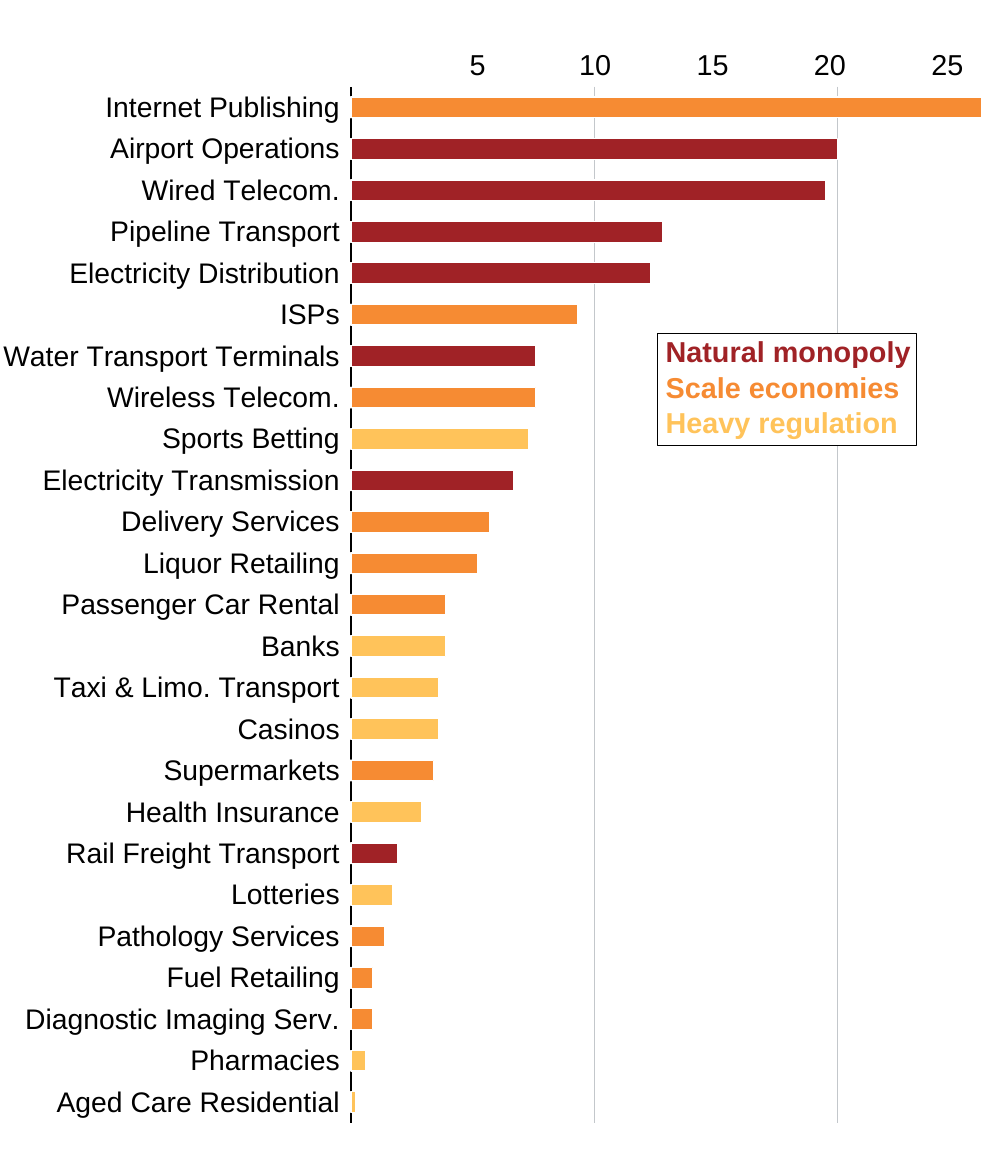
"""Build a one-slide ranked bar chart of industries, coloured by barrier to entry."""
from pptx import Presentation
from pptx.chart.data import CategoryChartData
from pptx.dml.color import RGBColor as RGB
from pptx.enum.chart import XL_CHART_TYPE as CT, XL_TICK_LABEL_POSITION as TLP, XL_TICK_MARK as TM
from pptx.enum.shapes import MSO_SHAPE
from pptx.enum.text import MSO_AUTO_SIZE, PP_ALIGN
from pptx.oxml import parse_xml
from pptx.oxml.ns import nsdecls
from pptx.util import Inches, Pt

BLACK, WHITE, GRID = RGB(0, 0, 0), RGB(255, 255, 255), RGB(0xC3, 0xC7, 0xCB)
RED, ORANGE, YELLOW = RGB(0xA0, 0x22, 0x26), RGB(0xF6, 0x8B, 0x33), RGB(0xFF, 0xC3, 0x5A)
THIN = Pt(0.75)

INDUSTRIES = [
    ("Internet Publishing", ORANGE, 25.9),
    ("Airport Operations", RED, 20),
    ("Wired Telecom.", RED, 19.5),
    ("Pipeline Transport", RED, 12.8),
    ("Electricity Distribution", RED, 12.3),
    ("ISPs", ORANGE, 9.3),
    ("Water Transport Terminals", RED, 7.6),
    ("Wireless Telecom.", ORANGE, 7.6),
    ("Sports Betting", YELLOW, 7.3),
    ("Electricity Transmission", RED, 6.7),
    ("Delivery Services", ORANGE, 5.7),
    ("Liquor Retailing", ORANGE, 5.2),
    ("Passenger Car Rental", ORANGE, 3.9),
    ("Banks", YELLOW, 3.9),
    ("Taxi & Limo. Transport", YELLOW, 3.6),
    ("Casinos", YELLOW, 3.6),
    ("Supermarkets", ORANGE, 3.4),
    ("Health Insurance", YELLOW, 2.9),
    ("Rail Freight Transport", RED, 1.9),
    ("Lotteries", YELLOW, 1.7),
    ("Pathology Services", ORANGE, 1.4),
    ("Fuel Retailing", ORANGE, 0.9),
    ("Diagnostic Imaging Serv.", ORANGE, 0.9),
    ("Pharmacies", YELLOW, 0.6),
    ("Aged Care Residential", YELLOW, 0.2),
]
SERIES_COLORS = [YELLOW, RED, ORANGE]
LEGEND = [("Natural monopoly", RED), ("Scale economies", ORANGE), ("Heavy regulation", YELLOW)]

prs = Presentation()
prs.slide_width, prs.slide_height = Inches(8.72), Inches(10.39)
s = prs.slides.add_slide(prs.slide_layouts[6])


def place(x, y, w, h):
    """Turn percentages of the slide's width and height into lengths."""
    sizes = (prs.slide_width, prs.slide_height) * 2
    return [int(size * share / 100) for size, share in zip(sizes, (x, y, w, h))]


def add_label(text, box, color, bold=False, align=PP_ALIGN.LEFT):
    """Add one line of unwrapped text without margins."""
    tf = s.shapes.add_textbox(*place(*box)).text_frame
    frame = dict(margin_left=0, margin_right=0, margin_top=0, margin_bottom=0,
                 word_wrap=False, auto_size=MSO_AUTO_SIZE.SHAPE_TO_FIT_TEXT)
    for name, value in frame.items():
        setattr(tf, name, value)
    p = tf.paragraphs[0]
    p.alignment = align
    r = p.add_run()
    r.text = text
    for name, value in dict(name="Arial", size=Pt(18.3), bold=bold).items():
        setattr(r.font, name, value)
    r.font.color.rgb = color


data = CategoryChartData()
data.categories = [name for name, _, _ in INDUSTRIES]
for i, color in enumerate(SERIES_COLORS, 1):
    data.add_series(f"Series {i}", [v if c == color else 0 for _, c, v in INDUSTRIES])
chart = s.shapes.add_chart(CT.BAR_STACKED, *place(-0.92, 1.83, 102.75, 95.67), data).chart
cat, val, plot = chart.category_axis, chart.value_axis, chart.plots[0]
formats = [
    (chart, dict(has_legend=False, has_title=False)),
    (chart.font, dict(name="Arial", size=Pt(18))),
    (plot, dict(gap_width=100, overlap=100, vary_by_categories=False)),
    (cat, dict(reverse_order=True, major_tick_mark=TM.NONE, minor_tick_mark=TM.NONE,
               tick_label_position=TLP.LOW, has_major_gridlines=False)),
    (cat.format.line, dict(width=THIN)),
    (val, dict(minimum_scale=0, maximum_scale=26, major_unit=10, has_major_gridlines=True,
               major_tick_mark=TM.OUTSIDE, minor_tick_mark=TM.NONE)),
    (val.tick_labels, dict(number_format="#,##0;\\\u2212#,##0;;", number_format_is_linked=False)),
    (val.major_gridlines.format.line, dict(width=THIN)),
]
for target, values in formats:
    for name, value in values.items():
        setattr(target, name, value)
chart.font.color.rgb = BLACK
cat.format.line.color.rgb = BLACK
val.format.line.fill.background()
val.tick_labels.font.size = Pt(18)
val.tick_labels.font.color.rgb = WHITE
val.major_gridlines.format.line.color.rgb = GRID
for series, color in zip(plot.series, SERIES_COLORS):
    series.invert_if_negative = False
    series.format.fill.solid()
    series.format.fill.fore_color.rgb = color
    series.format.line.color.rgb = WHITE
    series.format.line.width = THIN

area = chart._chartSpace.xpath("c:chart/c:plotArea")[0]
for old in area.xpath("c:layout"):
    area.remove(old)
modes = "".join(f'<c:{tag} val="edge"/>' for tag in ("xMode", "yMode"))
shares = "".join(f'<c:{tag} val="{share / 100}"/>'
                 for tag, share in dict(x=35.5, y=5.8, w=62.4, h=92.1).items())
area.insert(0, parse_xml(f'<c:layout {nsdecls("c")}><c:manualLayout><c:layoutTarget val="inner"/>'
                         f'{modes}{shares}</c:manualLayout></c:layout>'))

sp = s.shapes.add_shape(MSO_SHAPE.RECTANGLE, *place(66.63, 28.39, 26.26, 9.53))
sp.shadow.inherit = False
sp.fill.solid()
sp.fill.fore_color.rgb = WHITE
sp.line.color.rgb = BLACK
sp.line.width = THIN
for row, (text, color) in enumerate(LEGEND):
    add_label(text, (67.43, 28.39 + 3.03 * row, 25.46, 2.98), color, bold=True)
for column in range(5):
    add_label(str(5 * (column + 1)), (46.73 + 11.9 * column, 3.95, 3.33, 2.98),
              BLACK, align=PP_ALIGN.CENTER)

prs.save("out.pptx")
